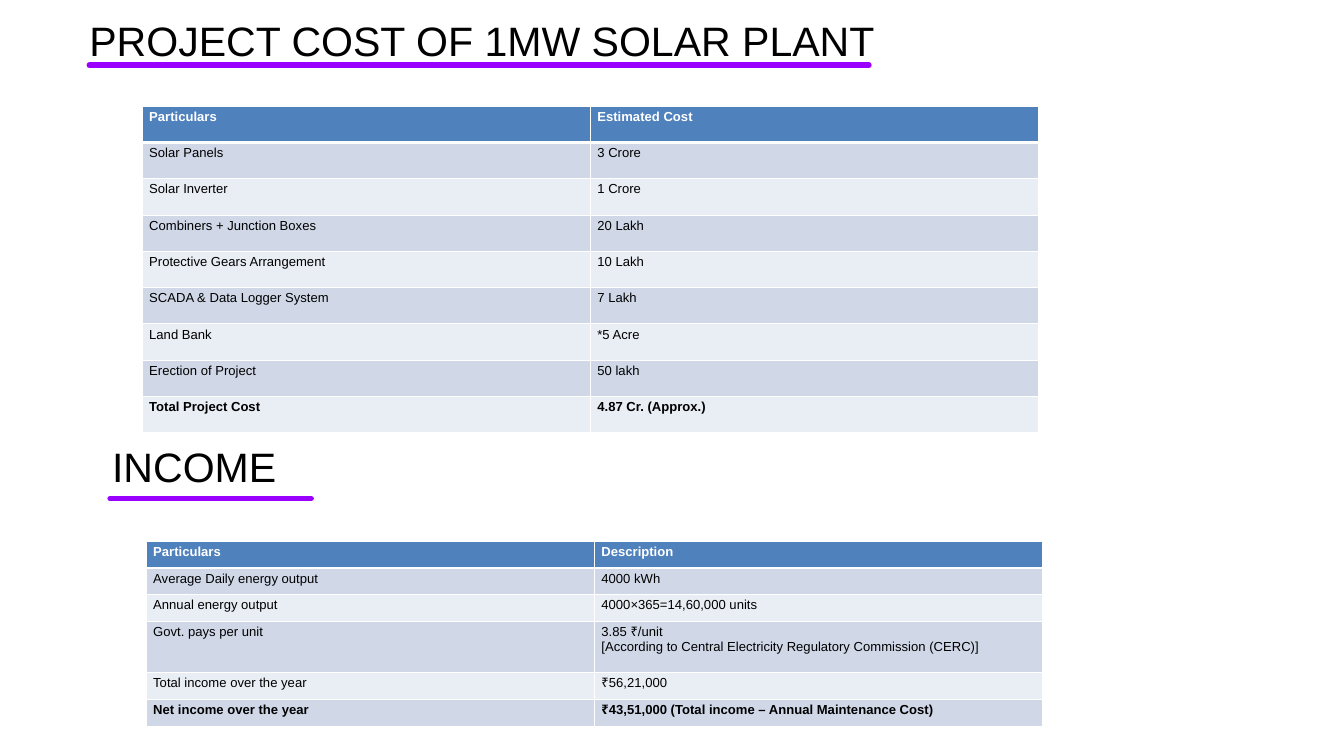
from lxml import etree
from pptx import Presentation
from pptx.dml.color import RGBColor
from pptx.enum.shapes import MSO_CONNECTOR
from pptx.enum.text import MSO_ANCHOR, MSO_AUTO_SIZE, PP_ALIGN
from pptx.oxml.ns import qn
from pptx.util import Inches, Pt

STRAIGHT = MSO_CONNECTOR.STRAIGHT
TOP = MSO_ANCHOR.TOP
FIT_SHAPE = MSO_AUTO_SIZE.SHAPE_TO_FIT_TEXT
LEFT = PP_ALIGN.LEFT

FONT = "Arial"
TITLE_ONLY = 5
COLUMN_WIDTH = 6.67
COLORS = {
    "text": "000000",
    "white": "FFFFFF",
    "header": "4F81BD",
    "odd_row": "D0D8E8",
    "even_row": "E9EDF4",
    "underline": "9900FF",
}

COSTS = [
    ("Particulars", "Estimated Cost"),
    ("Solar Panels", "3 Crore"),
    ("Solar Inverter", "1 Crore"),
    ("Combiners + Junction Boxes", "20 Lakh"),
    ("Protective Gears Arrangement", "10 Lakh"),
    ("SCADA & Data Logger System", "7 Lakh"),
    ("Land Bank", "*5 Acre"),
    ("Erection of Project", "50 lakh"),
    ("Total Project Cost", "4.87 Cr. (Approx.)"),
]
INCOME = [
    ("Particulars", "Description"),
    ("Average Daily energy output", "4000 kWh"),
    ("Annual energy output", "4000×365=14,60,000 units"),
    ("Govt. pays per unit",
     "3.85 ₹/unit\n[According to Central Electricity Regulatory Commission (CERC)]"),
    ("Total income over the year", "₹56,21,000"),
    ("Net income over the year",
     "₹43,51,000 (Total income – Annual Maintenance Cost)"),
]
COST_HEIGHTS = [0.54] * len(COSTS)
INCOME_HEIGHTS = [0.4, 0.4, 0.4, 0.76, 0.4, 0.4]


def color(name):
    return RGBColor.from_string(COLORS[name])


def style_font(font, size, color_name, bold=False):
    font.name = FONT
    font.size = Pt(size)
    font.bold = bold
    font.color.rgb = color(color_name)


def fill_heading(heading, text, left, top, width):
    heading.left, heading.top = Inches(left), Inches(top)
    heading.width, heading.height = Inches(width), Inches(0.84)
    frame = heading.text_frame
    frame.text = text
    frame.word_wrap = True
    frame.auto_size = FIT_SHAPE
    frame.vertical_anchor = TOP
    frame.margin_left = frame.margin_right = Inches(0.1)
    frame.margin_top = frame.margin_bottom = Inches(0.05)
    paragraph = frame.paragraphs[0]
    paragraph.alignment = LEFT
    style_font(paragraph.runs[0].font, 44, "text")


def add_underline(slide, left, right, y):
    underline = slide.shapes.add_connector(
        STRAIGHT, Inches(left), Inches(y), Inches(right), Inches(y))
    underline.line.color.rgb = color("underline")
    underline.line.width = Pt(6)
    properties = underline._element.spPr
    properties.find(qn("a:ln")).set("cap", "rnd")
    etree.SubElement(properties, qn("a:effectLst"))


def add_borders(cell, top_width, bottom_width):
    properties = cell._tc.get_or_add_tcPr()
    widths = {"L": 1, "R": 1, "T": top_width, "B": bottom_width}
    for side, width in widths.items():
        border = etree.SubElement(properties, qn(f"a:ln{side}"), w=str(Pt(width)))
        solid = etree.SubElement(border, qn("a:solidFill"))
        etree.SubElement(solid, qn("a:srgbClr"), val=COLORS["white"])


def add_finance_table(slide, rows, heights, left, top):
    table = slide.shapes.add_table(
        len(rows), 2, Inches(left), Inches(top),
        Inches(2 * COLUMN_WIDTH), Inches(sum(heights))).table
    for column in table.columns:
        column.width = Inches(COLUMN_WIDTH)
    for index, (entries, height) in enumerate(zip(rows, heights)):
        table.rows[index].height = Inches(height)
        is_header = index == 0
        is_total = index == len(rows) - 1
        band = "header" if is_header else "odd_row" if index % 2 else "even_row"
        for cell, entry in zip(table.rows[index].cells, entries):
            add_borders(cell, 3 if index == 1 else 1, 3 if is_header else 1)
            cell.fill.solid()
            cell.fill.fore_color.rgb = color(band)
            cell.text_frame.text = entry
            for paragraph in cell.text_frame.paragraphs:
                style_font(paragraph.runs[0].font, 14,
                           "white" if is_header else "text",
                           is_header or is_total)


def main():
    presentation = Presentation()
    presentation.slide_width = Inches(20)
    presentation.slide_height = Inches(11.25)
    slide = presentation.slides.add_slide(presentation.slide_layouts[TITLE_ONLY])

    add_finance_table(slide, COSTS, COST_HEIGHTS, 2.12, 1.58)
    add_finance_table(slide, INCOME, INCOME_HEIGHTS, 2.18, 8.05)

    fill_heading(slide.shapes.title, "PROJECT COST OF 1MW SOLAR PLANT",
                 1.23, 0.18, 15.03)
    add_underline(slide, 1.33, 12.93, 0.97)
    income_heading = slide.shapes.add_textbox(0, 0, 0, 0)
    fill_heading(income_heading, "INCOME", 1.57, 6.52, 8.82)
    add_underline(slide, 1.64, 4.63, 7.42)

    presentation.save("out.pptx")


if __name__ == "__main__":
    main()
